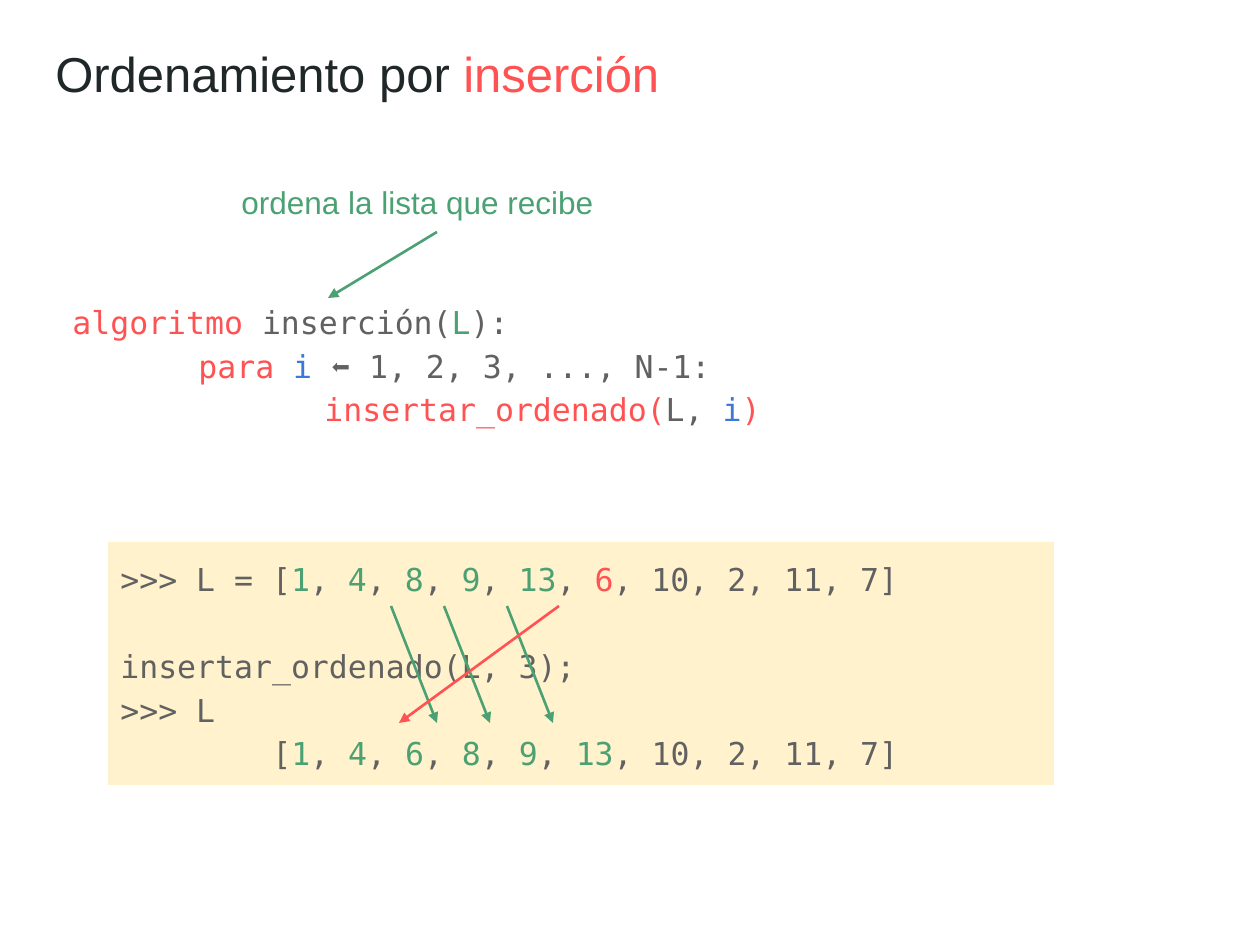
from dataclasses import dataclass

from lxml.etree import SubElement as Sub
from pptx import Presentation as Deck
from pptx.dml.color import RGBColor as Rgb
from pptx.enum.shapes import MSO_CONNECTOR as Link, MSO_SHAPE as Form
from pptx.enum.text import MSO_ANCHOR as Anchor, PP_ALIGN as Align
from pptx.oxml.ns import qn
from pptx.util import Emu, Pt

INK, GREY, RED = "202729", "616161", "FF5252"
GREEN, BLUE, CREAM = "4BA173", "3C78D8", "FFF2CC"
SANS, MONO = "Arial", "DejaVu Sans Mono"
Run = tuple[str, str]


@dataclass
class Line:
    runs: list[Run]
    left: int = 0
    gap: int = 0


@dataclass
class Arrow:
    x1: int
    y1: int
    x2: int
    y2: int
    tint: str = GREEN


def px(n: int) -> Emu:
    return Emu(round(n * 914400 / 126))


def hue(code: str) -> Rgb:
    return Rgb.from_string(code)


def write(slide, box: tuple[int, int, int, int], lines: list[Line], *,
          font: str = MONO, size: int = 18, space: float = 1.15,
          fill: str | None = None) -> None:
    area = [px(n) for n in box]
    if fill:
        shape = slide.shapes.add_shape(Form.RECTANGLE, *area)
        shape.shadow.inherit = False
        shape.fill.solid()
        shape.fill.fore_color.rgb = hue(fill)
        shape.line.fill.background()
    else:
        shape = slide.shapes.add_textbox(*area)
    frame = shape.text_frame
    frame.word_wrap = True
    frame.vertical_anchor = Anchor.TOP
    frame.margin_left = frame.margin_right = Pt(7.2)
    frame.margin_top = frame.margin_bottom = Pt(7.2)
    for i, line in enumerate(lines):
        para = frame.add_paragraph() if i else frame.paragraphs[0]
        para.alignment = Align.LEFT
        para.line_spacing = space
        para.space_before = Pt(line.gap)
        props = para._p.get_or_add_pPr()
        props.set("marL", str(px(line.left)))
        props.set("indent", "0")
        for text, tint in line.runs:
            run = para.add_run()
            run.text = text
            run.font.name = font
            run.font.size = Pt(size)
            run.font.color.rgb = hue(tint)


def draw(slide, arrow: Arrow) -> None:
    ends = [px(n) for n in (arrow.x1, arrow.y1, arrow.x2, arrow.y2)]
    link = slide.shapes.add_connector(Link.STRAIGHT, *ends)
    link.line.color.rgb = hue(arrow.tint)
    link.line.width = Pt(1.5)
    Sub(link.line._get_or_add_ln(), qn("a:tailEnd"), type="triangle")
    Sub(link._element.spPr, qn("a:effectLst"))


def array(head: str, items: list[Run]) -> list[Run]:
    runs = [(head, GREY)]
    for item in items:
        runs += [item, (", ", GREY)]
    return runs[:-1] + [(", 10, 2, 11, 7]", GREY)]


def green(*items: int) -> list[Run]:
    return [(str(n), GREEN) for n in items]


def main() -> None:
    deck = Deck()
    deck.slide_width, deck.slide_height = px(1260), px(945)
    slide = deck.slides.add_slide(deck.slide_layouts[6])

    title = [Line([("Ordenamiento por ", INK), ("inserción", RED)])]
    write(slide, (43, 31, 717, 105), title, font=SANS, size=28, space=1)

    tab = 126
    write(slide, (60, 285, 1043, 161), [
        Line([("algoritmo", RED), (" inserción(", GREY), ("L", GREEN), ("):", GREY)]),
        Line([("para ", RED), ("i", BLUE), (" ⬅ 1, 2, 3, ..., N-1:", GREY)], left=tab),
        Line([("insertar_ordenado(", RED), ("L, ", GREY), ("i", BLUE), (")", RED)],
             left=2 * tab),
    ])
    write(slide, (229, 165, 416, 67),
          [Line([("ordena la lista que recibe", GREEN)])], font=SANS)
    draw(slide, Arrow(437, 232, 328, 298))

    write(slide, (108, 542, 946, 243), [
        Line(array(">>> L = [", green(1, 4, 8, 9, 13) + [("6", RED)])),
        Line([("insertar_ordenado(L, 3);", GREY)], gap=25),
        Line([(">>> L", GREY)]),
        Line(array("[", green(1, 4, 6, 8, 9, 13)), left=152),
    ], fill=CREAM)

    top, low = 606, 723
    for x in (507, 444, 391):
        draw(slide, Arrow(x, top, x + 46, low))
    draw(slide, Arrow(559, top, 399, low, RED))

    deck.save("out.pptx")


if __name__ == "__main__":
    main()
